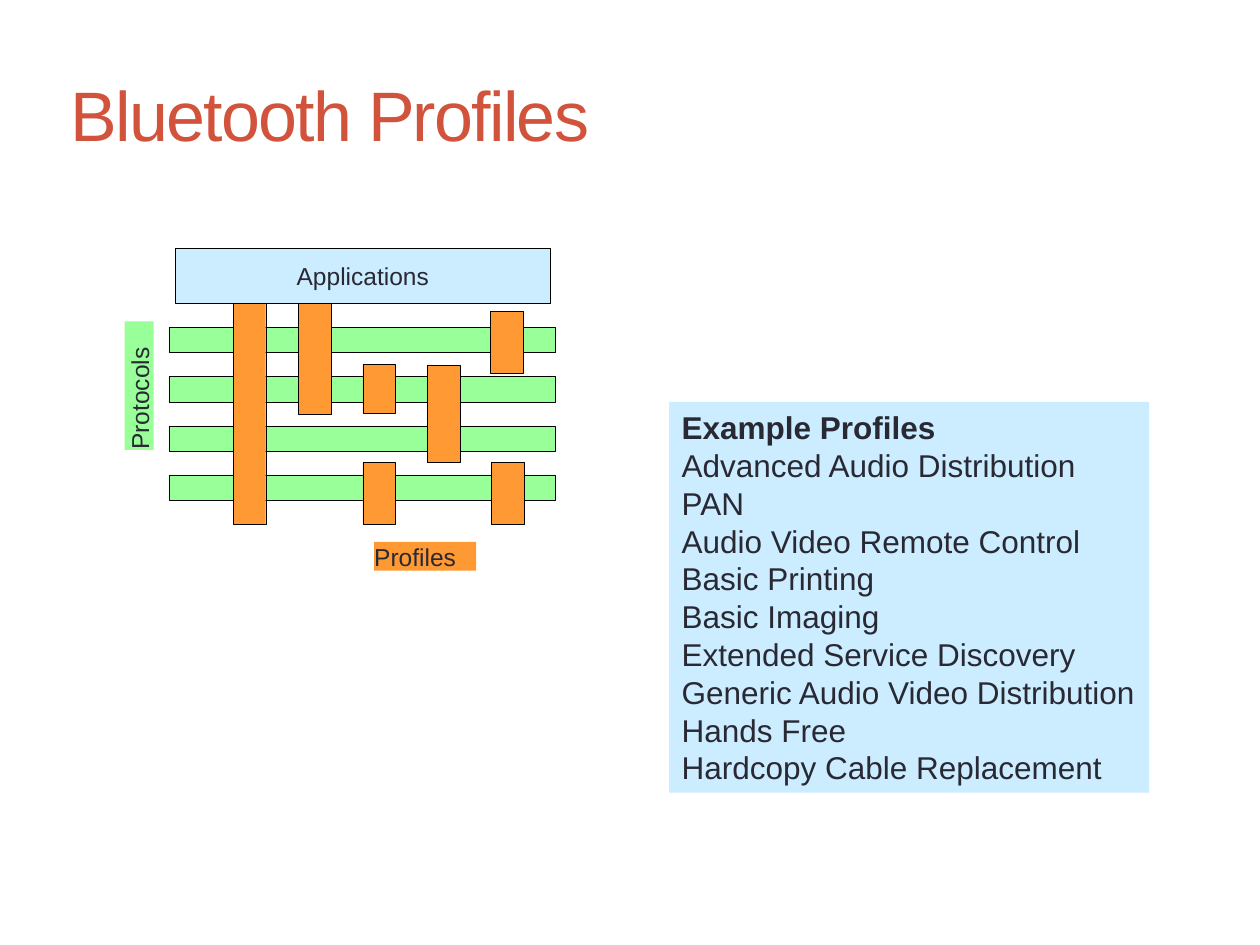
from dataclasses import dataclass

from lxml.etree import SubElement
from pptx import Presentation
from pptx.dml.color import RGBColor
from pptx.enum.shapes import MSO_SHAPE
from pptx.enum.text import MSO_ANCHOR, MSO_AUTO_SIZE, PP_ALIGN
from pptx.oxml.ns import qn
from pptx.shapes.autoshape import Shape
from pptx.slide import Slide
from pptx.text.text import _Paragraph
from pptx.util import Inches, Pt


@dataclass(frozen=True)
class Theme:
    font: str = "Arial"
    title_color: RGBColor = RGBColor(0xD2, 0x53, 0x3C)
    text_color: RGBColor = RGBColor(0x29, 0x29, 0x34)
    outline: RGBColor = RGBColor(0, 0, 0)
    blue: RGBColor = RGBColor(0xCC, 0xEC, 0xFF)
    green: RGBColor = RGBColor(0x99, 0xFF, 0x99)
    orange: RGBColor = RGBColor(0xFF, 0x99, 0x33)
    title_size: int = 40
    list_size: int = 18
    label_size: int = 14
    outline_width: float = 0.25


@dataclass(frozen=True)
class Box:
    left: float
    top: float
    width: float
    height: float


THEME = Theme()

PROTOCOL_TOP = 2.6
PROTOCOL_PITCH = 0.39
PROTOCOL_COUNT = 4
PROFILE_WIDTH = 0.26

LONG_PROFILES = [
    Box(1.85, 2.02, PROFILE_WIDTH, 2.14),
    Box(2.37, 2.02, PROFILE_WIDTH, 1.27),
    Box(3.39, 2.9, PROFILE_WIDTH, 0.77),
]
SHORT_PROFILES = [
    Box(2.88, 3.67, PROFILE_WIDTH, 0.49),
    Box(2.88, 2.89, PROFILE_WIDTH, 0.39),
    Box(3.9, 3.67, PROFILE_WIDTH, 0.49),
    Box(3.89, 2.47, PROFILE_WIDTH, 0.49),
]

EXAMPLE_PROFILES = [
    "Example Profiles",
    "Advanced Audio Distribution",
    "PAN",
    "Audio Video Remote Control",
    "Basic Printing",
    "Basic Imaging",
    "Extended Service Discovery",
    "Generic Audio Video Distribution",
    "Hands Free",
    "Hardcopy Cable Replacement",
]


def place(shape: Shape, box: Box) -> None:
    shape.left, shape.top = Inches(box.left), Inches(box.top)
    shape.width, shape.height = Inches(box.width), Inches(box.height)


def set_font(paragraph: _Paragraph, size: int, color: RGBColor, bold: bool = False) -> None:
    paragraph.font.name = THEME.font
    paragraph.font.size = Pt(size)
    paragraph.font.bold = bold
    paragraph.font.color.rgb = color


def add_block(slide: Slide, box: Box, fill: RGBColor, outlined: bool = True) -> Shape:
    block = slide.shapes.add_shape(
        MSO_SHAPE.RECTANGLE,
        Inches(box.left), Inches(box.top), Inches(box.width), Inches(box.height),
    )
    block.shadow.inherit = False
    block.fill.solid()
    block.fill.fore_color.rgb = fill
    if outlined:
        block.line.color.rgb = THEME.outline
        block.line.width = Pt(THEME.outline_width)
    else:
        block.line.fill.background()
    return block


def add_label(block: Shape, text: str, alignment: PP_ALIGN, anchor: MSO_ANCHOR) -> None:
    frame = block.text_frame
    frame.margin_left = frame.margin_right = frame.margin_top = frame.margin_bottom = 0
    frame.word_wrap = True
    frame.vertical_anchor = anchor
    paragraph = frame.paragraphs[0]
    paragraph.text = text
    paragraph.alignment = alignment
    set_font(paragraph, THEME.label_size, THEME.text_color)


def fill_title(title: Shape) -> None:
    place(title, Box(0.46, 0.36, 9, 1.08))
    title.text_frame.vertical_anchor = MSO_ANCHOR.MIDDLE
    paragraph = title.text_frame.paragraphs[0]
    paragraph.text = "Bluetooth Profiles"
    paragraph.alignment = PP_ALIGN.LEFT
    set_font(paragraph, THEME.title_size, THEME.title_color)
    paragraph.runs[0]._r.get_or_add_rPr().set("spc", "-100")


def fill_example_list(body: Shape) -> None:
    place(body, Box(5.31, 3.19, 3.81, 3.1))
    body.fill.solid()
    body.fill.fore_color.rgb = THEME.blue
    frame = body.text_frame
    frame.text = "\n".join(EXAMPLE_PROFILES)
    frame.word_wrap = False
    frame.auto_size = MSO_AUTO_SIZE.NONE
    for index, paragraph in enumerate(frame.paragraphs):
        properties = paragraph._p.get_or_add_pPr()
        properties.set("marL", "0")
        properties.set("indent", "0")
        SubElement(properties, qn("a:buNone"))
        paragraph.space_before = Pt(0)
        set_font(paragraph, THEME.list_size, THEME.text_color, bold=index == 0)


def draw_diagram(slide: Slide) -> None:
    for row in range(PROTOCOL_COUNT):
        add_block(slide, Box(1.34, PROTOCOL_TOP + row * PROTOCOL_PITCH, 3.07, 0.2), THEME.green)
    for box in LONG_PROFILES:
        add_block(slide, box, THEME.orange)

    profiles = add_block(slide, Box(2.97, 4.3, 0.81, 0.23), THEME.orange, outlined=False)
    add_label(profiles, "Profiles", PP_ALIGN.LEFT, MSO_ANCHOR.TOP)

    protocols = add_block(slide, Box(0.99, 2.55, 0.23, 1.02), THEME.green, outlined=False)
    add_label(protocols, "Protocols", PP_ALIGN.LEFT, MSO_ANCHOR.TOP)
    protocols.text_frame._txBody.bodyPr.set("vert", "vert270")

    applications = add_block(slide, Box(1.39, 1.97, 2.98, 0.44), THEME.blue)
    add_label(applications, "Applications", PP_ALIGN.CENTER, MSO_ANCHOR.MIDDLE)

    for box in SHORT_PROFILES:
        add_block(slide, box, THEME.orange)


def main() -> None:
    presentation = Presentation()
    presentation.slide_width, presentation.slide_height = Inches(10), Inches(7.5)
    slide = presentation.slides.add_slide(presentation.slide_layouts[1])
    fill_title(slide.shapes.title)
    fill_example_list(slide.placeholders[1])
    draw_diagram(slide)
    presentation.save("out.pptx")


if __name__ == "__main__":
    main()
